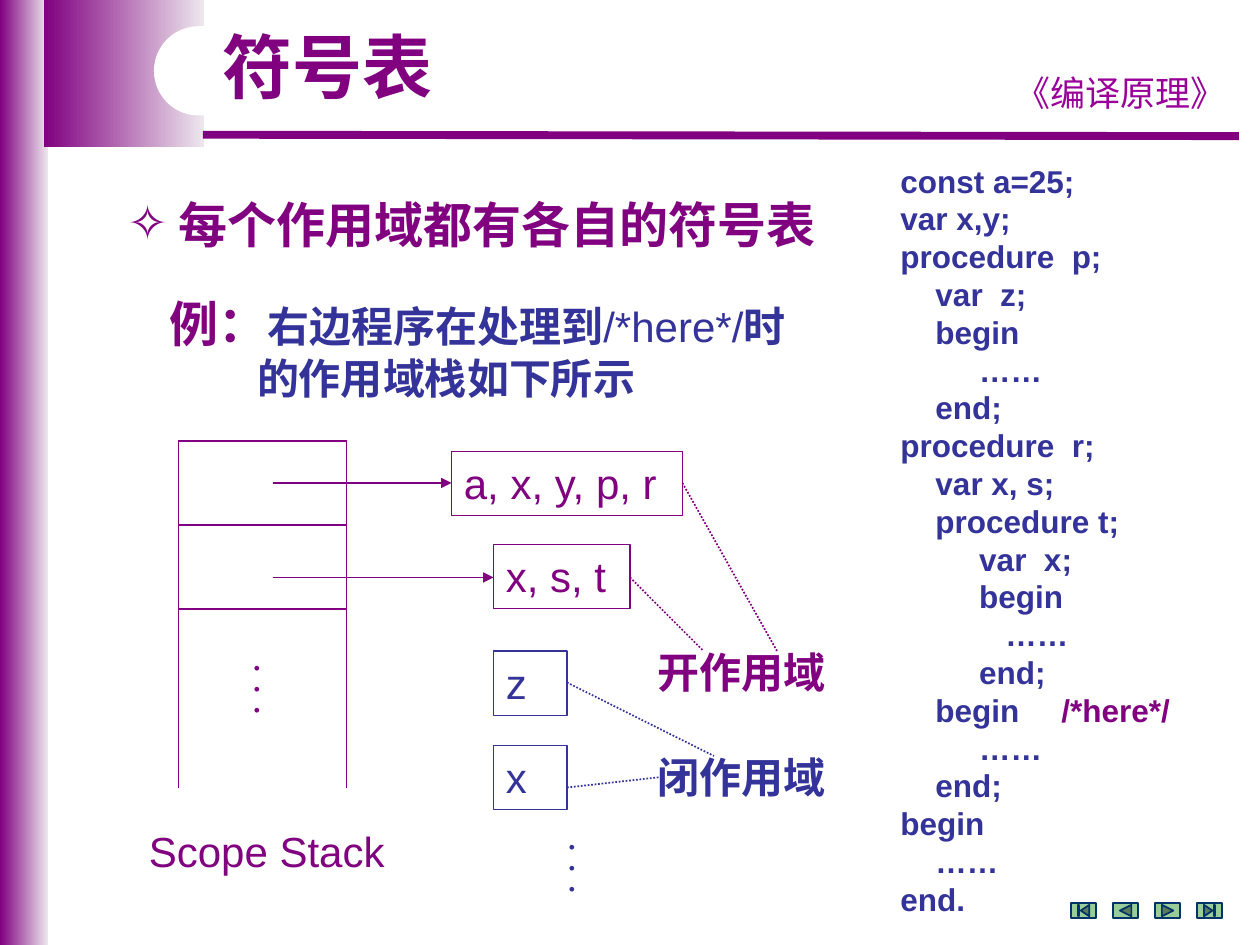
"""Build the symbol table slide with its scope stack diagram."""
from dataclasses import dataclass

from lxml import etree
from pptx import Presentation
from pptx.dml.color import RGBColor
from pptx.enum.dml import MSO_LINE
from pptx.enum.shapes import MSO_CONNECTOR, MSO_SHAPE
from pptx.enum.text import MSO_ANCHOR, MSO_AUTO_SIZE, PP_ALIGN
from pptx.oxml.ns import qn
from pptx.util import Pt

LEFT, CENTER = PP_ALIGN.LEFT, PP_ALIGN.CENTER
TOP, MIDDLE = MSO_ANCHOR.TOP, MSO_ANCHOR.MIDDLE
NO_AUTOFIT = MSO_AUTO_SIZE.NONE
RECTANGLE, ROUNDED = MSO_SHAPE.RECTANGLE, MSO_SHAPE.ROUNDED_RECTANGLE
STRAIGHT = MSO_CONNECTOR.STRAIGHT
DOTTED = MSO_LINE.ROUND_DOT
BUTTONS = (
    MSO_SHAPE.ACTION_BUTTON_BEGINNING,
    MSO_SHAPE.ACTION_BUTTON_BACK_OR_PREVIOUS,
    MSO_SHAPE.ACTION_BUTTON_FORWARD_OR_NEXT,
    MSO_SHAPE.ACTION_BUTTON_END,
)


@dataclass(frozen=True)
class Theme:
    """Colours, fonts and type sizes of the slide."""
    purple: str = "800080"
    pale: str = "EDE7ED"
    violet: str = "990099"
    blue: str = "333399"
    white: str = "FFFFFF"
    button: str = "99CC99"
    button_line: str = "003366"
    latin: str = "Arial"
    chinese: str = "Noto Sans CJK SC"
    title: int = 40
    heading: int = 28
    label: int = 24
    course: int = 20
    code: int = 18
    dots: int = 10


THEME = Theme()

CODE = (
    (0, "const a=25;"), (0, "var x,y;"), (0, "procedure  p;"),
    (20, "var  z;"), (20, "begin"), (45, "……"), (20, "end;"),
    (0, "procedure  r;"), (20, "var x, s;"), (20, "procedure t;"),
    (45, "var  x;"), (45, "begin"), (60, "……"), (45, "end;"),
    (20, "begin\t/*here*/"), (45, "……"), (20, "end;"),
    (0, "begin"), (20, "……"), (0, "end."),
)


def rgb(color):
    """Turn a hex string into a colour."""
    return RGBColor.from_string(color)


def set_font(font, size, color, bold=False, name=THEME.latin):
    """Set size, colour, weight and typeface."""
    font.size, font.bold, font.name = Pt(size), bold, name
    font.color.rgb = rgb(color)


def set_indent(para, margin, first=0):
    """Set the left margin and first-line indent of a paragraph."""
    properties = para._p.get_or_add_pPr()
    properties.set("marL", str(Pt(margin)))
    properties.set("indent", str(Pt(first)))
    return properties


def add_block(page, kind, place, fill=None, line=None, weight=0.75):
    """Add a preset shape; a pair of fills makes a gradient."""
    block = page.shapes.add_shape(kind, *map(Pt, place))
    block.shadow.inherit = False
    if isinstance(fill, tuple):
        block.fill.gradient()
        block.fill.gradient_angle = 0
        for stop, color in zip(block.fill.gradient_stops, fill):
            stop.color.rgb = rgb(color)
    elif fill:
        block.fill.solid()
        block.fill.fore_color.rgb = rgb(fill)
    else:
        block.fill.background()
    if line:
        block.line.color.rgb = rgb(line)
        block.line.width = Pt(weight)
    else:
        block.line.fill.background()
    return block


def add_line(page, start, end, color, weight=0.75, dash=None, arrow=False):
    """Add a straight line, dotted or with an arrowhead if asked."""
    line = page.shapes.add_connector(STRAIGHT, *map(Pt, start + end))
    line.line.color.rgb = rgb(color)
    line.line.width = Pt(weight)
    if dash:
        line.line.dash_style = dash
    if arrow:
        etree.SubElement(line.line._get_or_add_ln(), qn("a:tailEnd"), type="triangle")
    etree.SubElement(line._element.spPr, qn("a:effectLst"))


def write(box, text, size, color, bold=False, name=THEME.latin, align=LEFT, wrap=True):
    """Write one paragraph at the top of a box."""
    frame = box.text_frame
    frame.word_wrap = wrap
    frame.vertical_anchor = TOP
    para = frame.paragraphs[0]
    para.text = text
    para.alignment = align
    set_font(para.font, size, color, bold, name)
    return para


def add_text(page, place, *content, **style):
    """Add a text box with one paragraph."""
    box = page.shapes.add_textbox(*map(Pt, place))
    write(box, *content, **style)


def place_holder(page, holder, place):
    """Bring a placeholder to the front and move it."""
    page.shapes._spTree.append(holder._element)
    holder.left, holder.top, holder.width, holder.height = map(Pt, place)
    holder.text_frame.auto_size = NO_AUTOFIT


def draw_frame(page):
    """Draw the side band, header and navigation buttons."""
    fade = (THEME.purple, THEME.pale)
    add_block(page, RECTANGLE, (0, 0, 27.4, 540), fade)
    add_block(page, RECTANGLE, (25.2, 0, 91.2, 84), fade)
    add_line(page, (116, 77), (708, 77.8), THEME.purple, 4.5)
    add_text(page, (569.5, 37.5, 142, 31), "《编译原理》", THEME.course,
             THEME.violet, name=THEME.chinese, align=CENTER)
    pill = add_block(page, ROUNDED, (88, 15, 260.5, 51), THEME.white)
    pill.adjustments[0] = 0.5
    for index, kind in enumerate(BUTTONS):
        add_block(page, kind, (612 + 24 * index, 516, 14.5, 8.7),
                  THEME.button, THEME.button_line, 1)


def write_headings(page):
    """Fill the title and the bulleted statement."""
    title, body = page.placeholders
    place_holder(page, title, (120, 15, 144, 50.5))
    para = write(title, "符号表", THEME.title, THEME.purple, True, THEME.chinese)
    para.line_spacing = 0.9
    title.text_frame.vertical_anchor = MIDDLE
    place_holder(page, body, (65.5, 107.3, 420.5, 41))
    para = write(body, "每个作用域都有各自的符号表", THEME.heading, THEME.purple, True)
    para.space_before = Pt(0)
    properties = set_indent(para, 29.5, -29.5)
    color = etree.SubElement(properties, qn("a:buClr"))
    etree.SubElement(color, qn("a:srgbClr"), val=THEME.purple)
    etree.SubElement(properties, qn("a:buChar"), char="✧")


def write_example(page):
    """Write the two-line example statement."""
    box = page.shapes.add_textbox(*map(Pt, (64.8, 164, 415, 70)))
    box.text_frame.word_wrap = True
    first = box.text_frame.paragraphs[0]
    set_indent(first, 25)
    for text, size, color, bold in (
        ("例：", THEME.heading, THEME.purple, True),
        ("右边程序在处理到", THEME.label, THEME.blue, True),
        ("/*here*/", THEME.label, THEME.blue, False),
        ("时", THEME.label, THEME.blue, True),
    ):
        span = first.add_run()
        span.text = text
        set_font(span.font, size, color, bold)
    second = box.text_frame.add_paragraph()
    second.text = "的作用域栈如下所示"
    set_indent(second, 75)
    set_font(second.font, THEME.label, THEME.blue, True)


def write_code(page):
    """Write the program listing with its marked position."""
    box = page.shapes.add_textbox(*map(Pt, (507.5, 93, 204.5, 440)))
    frame = box.text_frame
    frame.word_wrap = True
    for index, (indent, text) in enumerate(CODE):
        para = frame.add_paragraph() if index else frame.paragraphs[0]
        para.line_spacing, para.space_before = 0.8, Pt(4.3)
        properties = set_indent(para, indent)
        code, tab, marker = text.partition("\t")
        for part, color in ((code + tab, THEME.blue), (marker, THEME.purple)):
            if part:
                span = para.add_run()
                span.text = part
                set_font(span.font, THEME.code, color, True)
        if marker:
            stops = etree.SubElement(properties, qn("a:tabLst"))
            etree.SubElement(stops, qn("a:tab"), pos=str(Pt(113)), algn="l")


def draw_scopes(page):
    """Draw the scope stack, its symbol tables and their labels."""
    purple, blue = THEME.purple, THEME.blue
    for x in (102, 198):
        add_line(page, (x, 252), (x, 450), purple)
    for row in range(3):
        y = 252 + 48 * row
        add_line(page, (102, y), (198, y), purple)
    for x, y, width, text, color in (
        (258, 258, 132, "a, x, y, p, r", purple), (282, 311, 78, "x, s, t", purple),
        (282, 372, 42, "z", blue), (282, 426, 42, "x", blue),
    ):
        table = add_block(page, RECTANGLE, (x, y, width, 36.7), line=color)
        write(table, text, THEME.label, color)
    for x, y, color in ((138, 372, purple), (318, 474, blue)):
        add_text(page, (x, y, 18, 43), "•••", THEME.dots, color)
    for y, text, color in ((366, "开作用域", purple), (426, "闭作用域", blue)):
        add_text(page, (368.8, y, 111, 36), text, THEME.label, color, True, wrap=False)
    for y, end in ((276, 258), (330, 282)):
        add_line(page, (156, y), (end, y), purple, arrow=True)
    for start, end, color in (
        ((390, 276), (444, 372), purple), ((360, 330), (402, 372), purple),
        ((324, 390), (408, 432), blue), ((324, 450), (378, 444), blue),
    ):
        add_line(page, start, end, color, 1, DOTTED)
    add_text(page, (78, 468, 150.5, 36), "Scope Stack", THEME.label, purple, wrap=False)


def main():
    """Build and save the deck."""
    deck = Presentation()
    deck.slide_width, deck.slide_height = Pt(720), Pt(540)
    page = deck.slides.add_slide(deck.slide_layouts[1])
    draw_frame(page)
    write_headings(page)
    write_example(page)
    write_code(page)
    draw_scopes(page)
    deck.save("out.pptx")


main()
